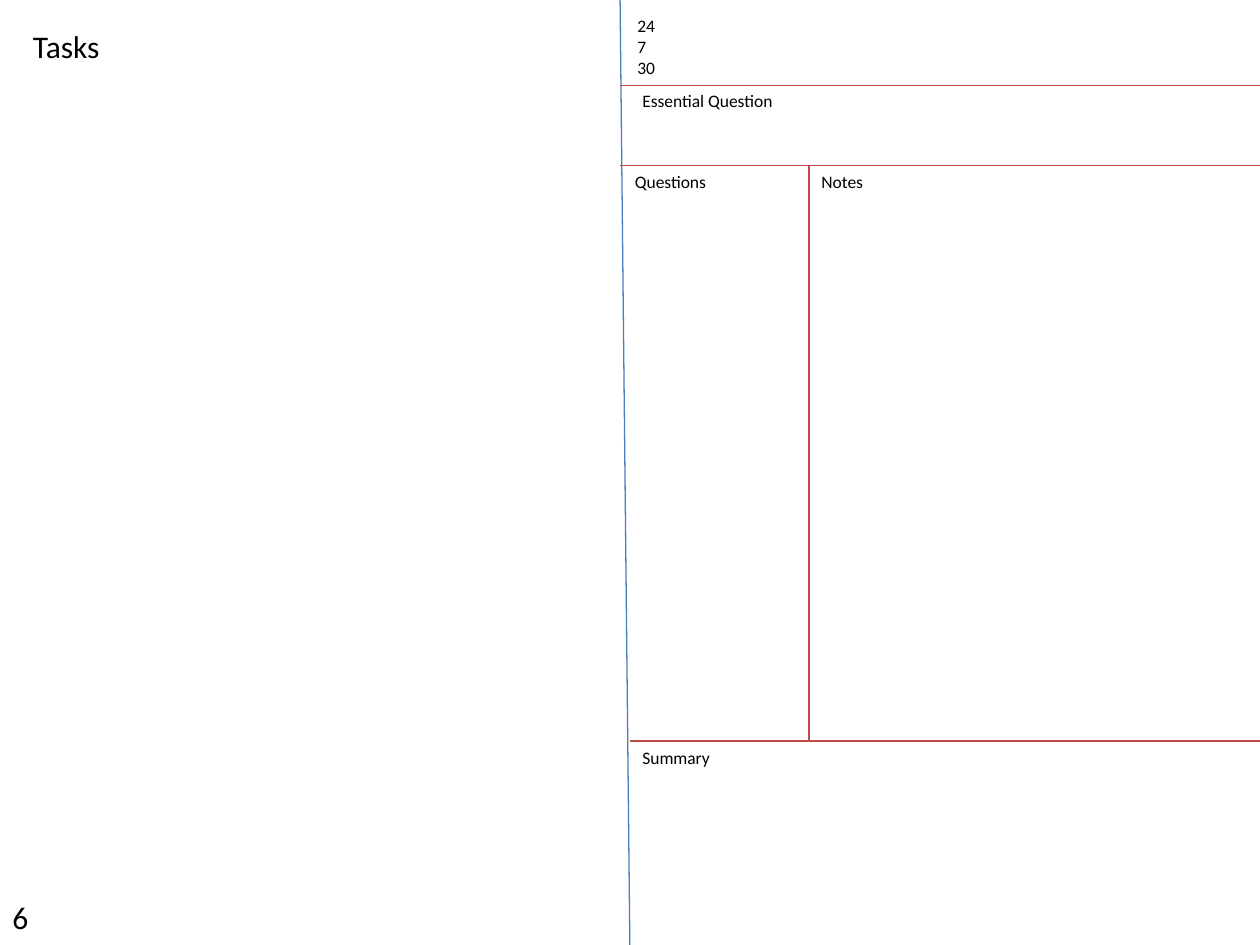
import pptx
import pptx.util
import pptx.dml.color
import pptx.enum.shapes
import pptx.enum.text
from lxml import etree

Cm, Pt = pptx.util.Cm, pptx.util.Pt

# Page grid, in cm
FOLD, LEFT, RIGHT = 12.5, 12.7, 25.4
HEADER, QUESTION, SUMMARY = 1.73, 3.33, 14.94
NOTES = 16.31
BLUE, RED, BLACK = "4B7EBC", "BF4C48", "000000"

# Content: start x, start y, end x, end y, colour
RULES = [
    (FOLD, 0, LEFT, 19.33, BLUE),
    (FOLD, HEADER, RIGHT, HEADER, RED),
    (FOLD, QUESTION, RIGHT, QUESTION, RED),
    (LEFT, SUMMARY, 25.83, SUMMARY, RED),
    (NOTES, QUESTION, NOTES, SUMMARY, RED),
]
TITLE = ("Tasks", 0.41, 0.41, 2.2, 1.02)
# Content: text, left, top, width, height, size
LABELS = [
    ("6", 0, 17.98, 0.84, 1.02, 18),
    ("24\n7\n30", 12.6, 0.18, 1.19, 1.55, 10),
    ("Essential Question", LEFT, 1.68, 3.18, 0.69, 10),
    ("Notes", NOTES, QUESTION, 1.37, 0.69, 10),
    ("Questions", 12.55, QUESTION, 1.98, 0.69, 10),
    ("Summary", LEFT, SUMMARY, 1.88, 0.69, 10),
]


def rgb(value):
    return pptx.dml.color.RGBColor.from_string(value)


def write(sp, text, size=10, color=BLACK, font="Calibri", wrap=False):
    tf = sp.text_frame
    tf.word_wrap = wrap
    tf.auto_size = pptx.enum.text.MSO_AUTO_SIZE.SHAPE_TO_FIT_TEXT
    tf.vertical_anchor = pptx.enum.text.MSO_ANCHOR.TOP
    tf.text = text
    for p in tf.paragraphs:
        p.alignment = pptx.enum.text.PP_ALIGN.LEFT
        for r in p.runs:
            r.font.name, r.font.size = font, Pt(size)
            r.font.color.rgb = rgb(color)


def add_rule(s, x1, y1, x2, y2, color):
    line = s.shapes.add_connector(
        pptx.enum.shapes.MSO_CONNECTOR.STRAIGHT, Cm(x1), Cm(y1), Cm(x2), Cm(y2))
    line.line.color.rgb = rgb(color)
    line.line.width = Pt(0.75)
    etree.SubElement(line._element.spPr, pptx.oxml.ns.qn("a:effectLst"))


prs = pptx.Presentation()
prs.slide_width, prs.slide_height = Cm(25.4), Cm(19.05)
s = prs.slides.add_slide(prs.slide_layouts[5])

# Ruled note page
for rule in RULES:
    add_rule(s, *rule)

# Title of the left page
text, *box = TITLE
sp = s.shapes.title
sp.left, sp.top, sp.width, sp.height = map(Cm, box)
write(sp, text, size=18, wrap=True)

# Labels and page number
for text, *box, size in LABELS:
    sp = s.shapes.add_textbox(*map(Cm, box))
    write(sp, text, size=size, wrap="\n" in text)

prs.save("out.pptx")
